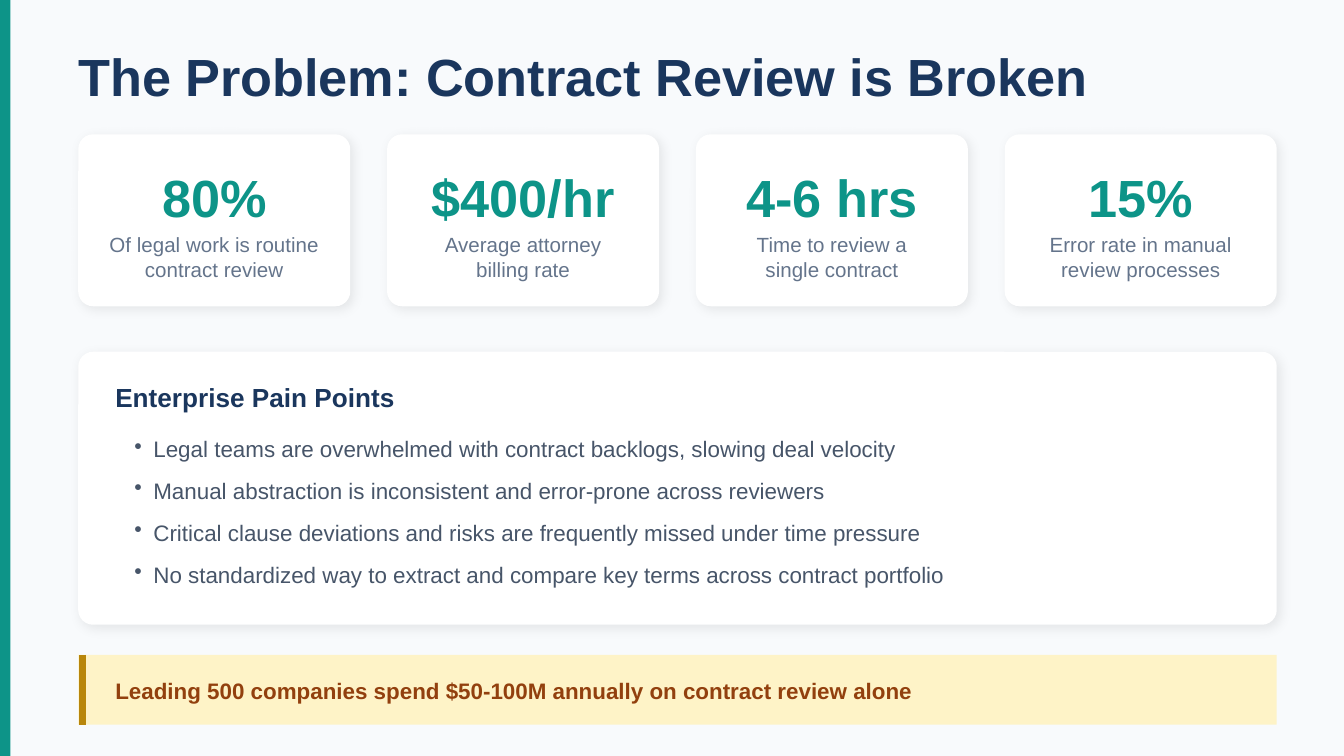
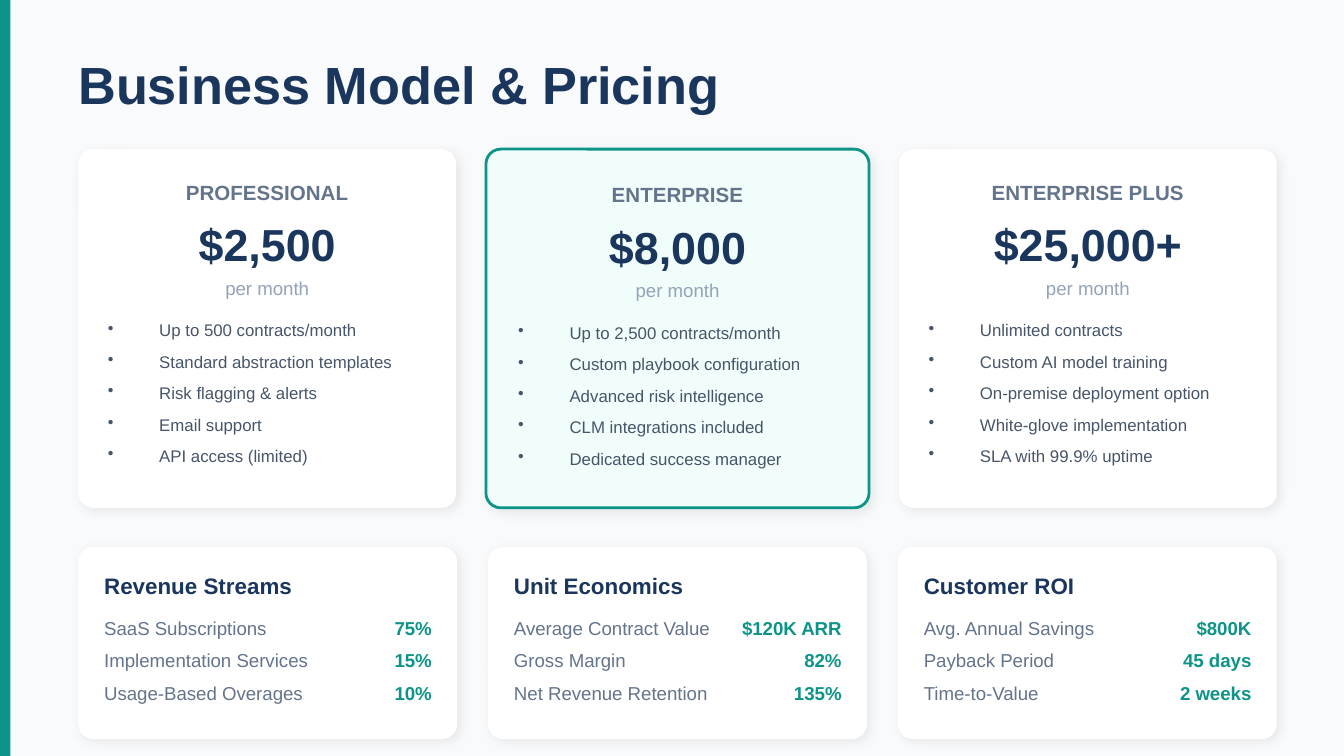
"""Build two slides: the contract review problem and the pricing model."""
from lxml import etree
from pptx import Presentation, util as u
from pptx.dml import color as dml
from pptx.enum import shapes, text
from pptx.oxml import ns

HUES = {
    "page": "F8FAFC", "teal": "0D9488", "navy": "1A365D", "white": "FFFFFF",
    "slate": "64748B", "body": "475569", "mute": "94A3B8", "mint": "F0FDFA",
    "cream": "FEF3C7", "gold": "B8860B", "rust": "92400E", "black": "000000",
}
LEFT, SPAN = 1.48, 22.65
LEAD, MID, END = text.PP_ALIGN.LEFT, text.PP_ALIGN.CENTER, text.PP_ALIGN.RIGHT
FORMS = {
    "title": dict(size=28, bold=True, hue="navy"),
    "stat": dict(size=28, bold=True, hue="teal", align=MID, after=4),
    "note": dict(size=11, hue="slate", align=MID),
    "head": dict(size=14, bold=True, hue="navy", after=12),
    "point": dict(size=12, hue="body", after=8, indent=0.36),
    "callout": dict(size=12, bold=True, hue="rust"),
    "plan": dict(size=11, bold=True, hue="slate", align=MID, after=8),
    "price": dict(size=24, bold=True, hue="navy", align=MID, after=4),
    "term": dict(size=10, hue="mute", align=MID, after=12),
    "perk": dict(size=9, hue="body", after=6, indent=0.97),
    "topic": dict(size=12, bold=True, hue="navy", after=10),
    "label": dict(size=10, hue="slate"),
    "value": dict(size=10, bold=True, hue="teal", align=END),
}
STATS = [
    ("80%", ["Of legal work is routine", "contract review"]),
    ("$400/hr", ["Average attorney", "billing rate"]),
    ("4-6 hrs", ["Time to review a", "single contract"]),
    ("15%", ["Error rate in manual", "review processes"]),
]
PAINS = [
    "Legal teams are overwhelmed with contract backlogs, slowing deal velocity",
    "Manual abstraction is inconsistent and error-prone across reviewers",
    "Critical clause deviations and risks are frequently missed under time pressure",
    "No standardized way to extract and compare key terms across contract portfolio",
]
PLANS = [
    ("PROFESSIONAL", "$2,500", 7.14, [
        "Up to 500 contracts/month", "Standard abstraction templates",
        "Risk flagging & alerts", "Email support", "API access (limited)"]),
    ("ENTERPRISE", "$8,000", 7.24, [
        "Up to 2,500 contracts/month", "Custom playbook configuration",
        "Advanced risk intelligence", "CLM integrations included",
        "Dedicated success manager"]),
    ("ENTERPRISE PLUS", "$25,000+", 7.14, [
        "Unlimited contracts", "Custom AI model training",
        "On-premise deployment option", "White-glove implementation",
        "SLA with 99.9% uptime"]),
]
FACTS = [
    ("Revenue Streams", [("SaaS Subscriptions", "75%"),
                         ("Implementation Services", "15%"),
                         ("Usage-Based Overages", "10%")]),
    ("Unit Economics", [("Average Contract Value", "$120K ARR"),
                        ("Gross Margin", "82%"),
                        ("Net Revenue Retention", "135%")]),
    ("Customer ROI", [("Avg. Annual Savings", "$800K"),
                      ("Payback Period", "45 days"),
                      ("Time-to-Value", "2 weeks")]),
]


def tint(name):
    return dml.RGBColor.from_string(HUES[name])


def spread(widths):
    gap = (SPAN - sum(widths)) / (len(widths) - 1)
    left = LEFT
    for wide in widths:
        yield left, wide
        left += wide + gap


class Deck:
    def __init__(self):
        self.prs = Presentation()
        self.prs.slide_width, self.prs.slide_height = u.Cm(25.4), u.Cm(14.29)
        fill = self.prs.slide_master.background.fill
        fill.solid()
        fill.fore_color.rgb = tint("page")
        self.page = None

    def start(self, title, top):
        self.page = self.prs.slides.add_slide(self.prs.slide_layouts[5])
        self.block((0, 0, 0.2, 14.29), "teal")
        head = self.page.shapes.title
        spots = zip(("left", "top", "width", "height"), (LEFT, top, 23.11, 1.14))
        for key, val in spots:
            setattr(head, key, u.Cm(val))
        self.pour(head.text_frame, [title], "title")

    def pour(self, frame, lines, form, inset=0):
        look = FORMS[form]
        sets = dict(margin_left=u.Cm(inset), margin_top=0, margin_right=0,
                    margin_bottom=0, word_wrap=True,
                    auto_size=text.MSO_AUTO_SIZE.NONE,
                    vertical_anchor=text.MSO_ANCHOR.TOP)
        for key, val in sets.items():
            setattr(frame, key, val)
        for num, line in enumerate(lines):
            para = frame.add_paragraph() if num else frame.paragraphs[0]
            para.alignment = look.get("align", LEAD)
            para.space_after = u.Pt(look.get("after", 0))
            run = para.add_run()
            run.text = line
            font = dict(name="Arial", size=u.Pt(look["size"]),
                        bold=look.get("bold", False))
            for key, val in font.items():
                setattr(run.font, key, val)
            run.font.color.rgb = tint(look["hue"])
            if "indent" in look:
                self.bullet(para, u.Cm(look["indent"]))

    def bullet(self, para, step):
        props = para._p.get_or_add_pPr()
        props.set("marL", str(step))
        props.set("indent", str(-step))
        etree.SubElement(props, ns.qn("a:buChar"), char="•")

    def words(self, box, lines, form, inset=0):
        item = self.page.shapes.add_textbox(*map(u.Cm, box))
        self.pour(item.text_frame, lines, form, inset)

    def block(self, box, fill, kind=shapes.MSO_SHAPE.RECTANGLE, edge=None):
        item = self.page.shapes.add_shape(kind, *map(u.Cm, box))
        item.fill.solid()
        item.fill.fore_color.rgb = tint(fill)
        if edge:
            item.line.color.rgb = tint(edge)
            item.line.width = u.Pt(1.5)
        else:
            item.line.fill.background()
        item.shadow.inherit = False
        return item

    def card(self, box, fill="white", edge=None):
        item = self.block(box, fill, shapes.MSO_SHAPE.ROUNDED_RECTANGLE, edge)
        item.adjustments[0] = 0.28 / min(box[2:])
        glow = etree.SubElement(
            item._element.spPr.find(ns.qn("a:effectLst")), ns.qn("a:outerShdw"),
            blurRad=str(u.Pt(6)), dist=str(u.Pt(2.1)), dir="2700000",
            algn="bl", rotWithShape="0")
        shade = etree.SubElement(glow, ns.qn("a:srgbClr"), val=HUES["black"])
        etree.SubElement(shade, ns.qn("a:alpha"), val="8000")

    def rule(self, ends, hue, width):
        item = self.page.shapes.add_connector(
            shapes.MSO_CONNECTOR.STRAIGHT, *map(u.Cm, ends))
        item.line.color.rgb = tint(hue)
        item.line.width = u.Pt(width)
        etree.SubElement(item._element.spPr, ns.qn("a:effectLst"))


def problem(deck):
    deck.start("The Problem: Contract Review is Broken", 0.84)
    for (stat, note), (left, wide) in zip(STATS, spread([5.14] * 4)):
        deck.card((left, 2.54, wide, 3.25))
        deck.words((left + 0.53, 3.12, 4.08, 1.14), [stat], "stat")
        deck.words((left + 0.53, 4.39, 4.08, 0.84), note, "note")
    deck.card((LEFT, 6.65, SPAN, 5.16))
    deck.words((2.18, 7.21, 21.67, 0.58), ["Enterprise Pain Points"], "head")
    deck.words((2.18, 8.23, 21.23, 2.74), PAINS, "point", 0.36)
    deck.block((LEFT, 12.38, SPAN, 1.32), "cream")
    deck.rule((1.55, 12.38, 1.55, 13.7), "gold", 3.75)
    deck.words((2.18, 12.8, 21.82, 0.48), [
        "Leading 500 companies spend $50-100M annually on contract review alone",
    ], "callout")


def pricing(deck):
    deck.start("Business Model & Pricing", 0.99)
    places = spread([plan[2] for plan in PLANS])
    for (name, price, _, perks), (left, wide) in zip(PLANS, places):
        star = name == "ENTERPRISE"
        deck.card((left, 2.82, wide, 6.78), *(("mint", "teal") if star else ()))
        drop = 0.05 if star else 0
        rows = [
            (3.4, 6.12, 0.43, [name], "plan"),
            (4.1, 6.12, 0.99, [price], "price"),
            (5.23, 6.12, 0.41, ["per month"], "term"),
            (6.05, 6.02, 2.69, perks, "perk"),
        ]
        for top, span, high, lines, form in rows:
            box = (left + (wide - span) / 2, top + drop, span, high)
            deck.words(box, lines, form)
    for (topic, pairs), (left, wide) in zip(FACTS, spread([7.16] * 3)):
        deck.card((left, 10.34, wide, 3.63))
        deck.words((left + 0.49, 10.82, 6.3, 0.48), [topic], "topic")
        for num, (label, value) in enumerate(pairs):
            top = 11.66 + 0.61 * num
            deck.words((left + 0.49, top, 4, 0.41), [label], "label")
            deck.words((left + 4.68, top, 2, 0.41), [value], "value")


def main():
    deck = Deck()
    problem(deck)
    pricing(deck)
    deck.prs.save("out.pptx")


if __name__ == "__main__":
    main()
